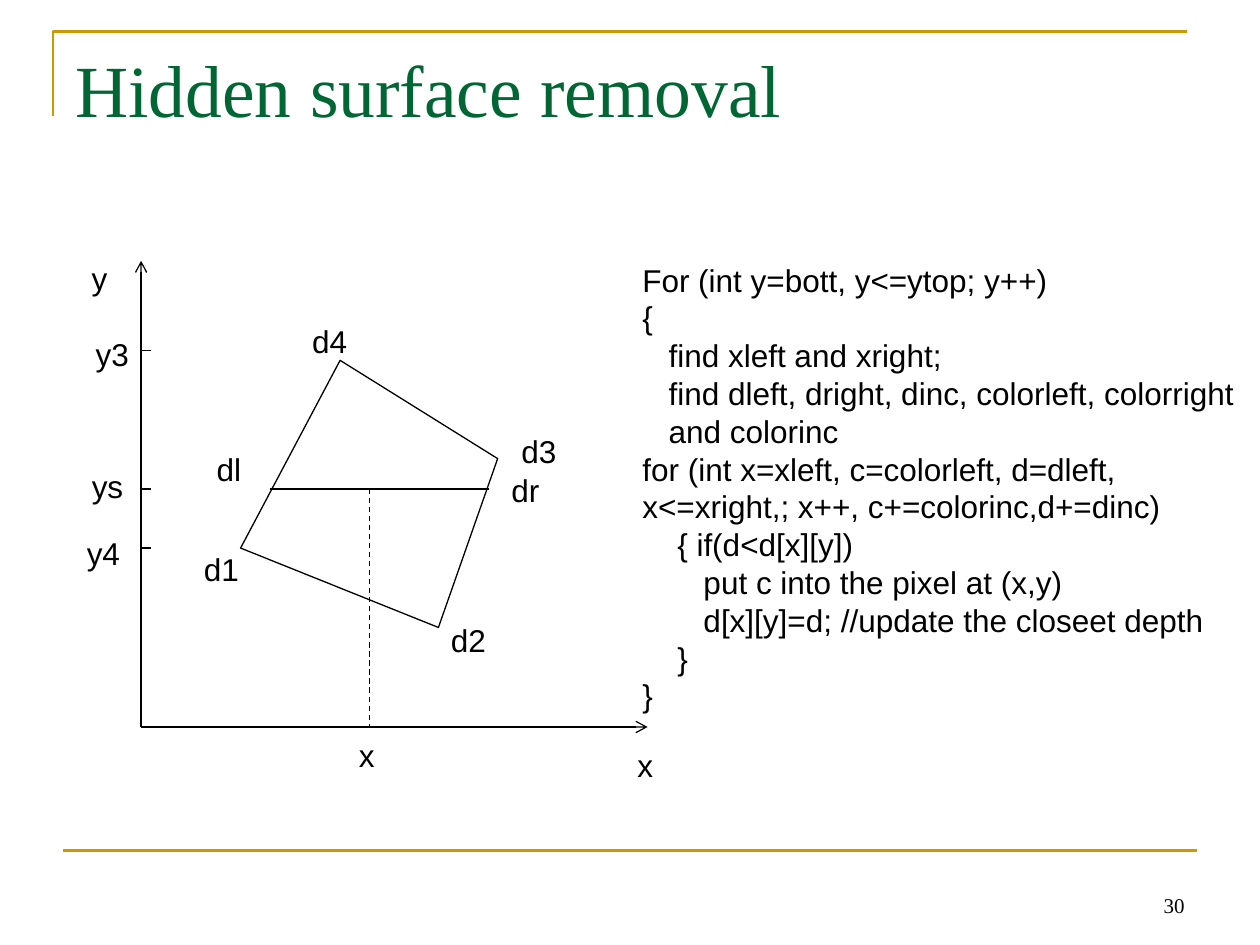
from lxml.etree import SubElement
from pptx import Presentation
from pptx.dml.color import RGBColor
from pptx.enum.dml import MSO_LINE
from pptx.enum.shapes import MSO_CONNECTOR
from pptx.enum.text import MSO_ANCHOR, MSO_AUTO_SIZE, PP_ALIGN
from pptx.oxml.ns import qn
from pptx.util import Inches, Pt

COLORS = {"ink": "000000", "title": "006633", "rule": "CC9900"}
FORMATS = {
    "title": {"name": "Times New Roman", "size": Pt(42)},
    "number": {"name": "Times New Roman", "size": Pt(12)},
    "body": {"name": "Arial", "size": Pt(18)},
}
CODE = """For (int y=bott, y<=ytop; y++)
{
   find xleft and xright;
   find dleft, dright, dinc, colorleft, colorright
   and colorinc
for (int x=xleft, c=colorleft, d=dleft,  x<=xright,; x++, c+=colorinc,d+=dinc)
    { if(d<d[x][y])
       put c into the pixel at (x,y)
       d[x][y]=d; //update the closeet depth
    }
}"""


class SlidePainter:
    def __init__(self, slide, formats, colors):
        self.slide = slide
        self.formats = formats
        self.colors = colors

    def color(self, key):
        return RGBColor.from_string(self.colors[key])

    def stroke(self, line, color, width):
        line.color.rgb = self.color(color)
        line.width = Pt(width)

    def text(self, content, box, style="body", color="ink", wrap=True, grow=False,
             align=PP_ALIGN.LEFT, anchor=MSO_ANCHOR.TOP):
        frame = self.slide.shapes.add_textbox(*map(Inches, box)).text_frame
        settings = {
            "word_wrap": wrap,
            "auto_size": MSO_AUTO_SIZE.SHAPE_TO_FIT_TEXT if grow else MSO_AUTO_SIZE.NONE,
            "vertical_anchor": anchor,
            "text": content,
        }
        for attribute, value in settings.items():
            setattr(frame, attribute, value)
        for paragraph in frame.paragraphs:
            paragraph.alignment = align
            for attribute, value in self.formats[style].items():
                setattr(paragraph.font, attribute, value)
            paragraph.font.color.rgb = self.color(color)

    def line(self, start, end, color="ink", width=0.75, arrow=False, dashed=False):
        connector = self.slide.shapes.add_connector(
            MSO_CONNECTOR.STRAIGHT, *map(Inches, (*start, *end)))
        self.stroke(connector.line, color, width)
        if dashed:
            connector.line.dash_style = MSO_LINE.DASH
        properties = connector._element.spPr
        if arrow:
            SubElement(properties.find(qn("a:ln")), qn("a:tailEnd"), type="arrow")
        SubElement(properties, qn("a:effectLst"))

    def outline(self, points, color="ink", width=0.75, close=False):
        first, *rest = [tuple(map(Inches, point)) for point in points]
        builder = self.slide.shapes.build_freeform(*first)
        builder.add_line_segments(rest, close=close)
        shape = builder.convert_to_shape()
        shape.shadow.inherit = False
        shape.fill.background()
        self.stroke(shape.line, color, width)


def main():
    presentation = Presentation()
    presentation.slide_width = Inches(10)
    presentation.slide_height = Inches(7.5)
    slide = presentation.slides.add_slide(presentation.slide_layouts[6])
    painter = SlidePainter(slide, FORMATS, COLORS)

    painter.outline([(0.42, 0.92), (0.42, 0.25), (9.42, 0.25)], "rule", 1.5)
    painter.line((0.5, 6.75), (9.5, 6.75), "rule", 1.5)
    painter.text("30", (7.17, 6.83, 2.33, 0.5), "number",
                 align=PP_ALIGN.RIGHT, anchor=MSO_ANCHOR.BOTTOM)
    painter.text("Hidden surface removal", (0.5, 0.3, 9, 1.25), "title", "title")

    origin_x, origin_y = origin = (1.12, 5.77)
    scan_y, pixel_x = 3.88, 2.93
    for axis_end in ((5.14, origin_y), (origin_x, 2.07)):
        painter.line(origin, axis_end, arrow=True)
    for tick_y in (2.78, scan_y, 4.35):
        painter.line((origin_x, tick_y), (origin_x + 0.08, tick_y))

    painter.outline([(2.7, 2.86), (1.91, 4.35), (3.48, 4.98), (3.95, 3.64)], close=True)
    painter.line((2.14, scan_y), (3.88, scan_y))
    painter.line((pixel_x, scan_y), (pixel_x, origin_y), dashed=True)

    labels = [
        ("y3", 0.66, 2.61, 0.48), ("y4", 0.59, 4.19, 0.48), ("ys", 0.63, 3.66, 0.48),
        ("x", 4.96, 5.87, 0.34), ("y", 0.63, 2.01, 0.34), ("x", 2.75, 5.79, 0.34),
        ("d1", 1.52, 4.32, 0.5), ("d4", 2.38, 2.51, 0.5), ("d3", 4.04, 3.38, 0.5),
        ("d2", 3.48, 4.88, 0.5), ("dl", 1.62, 3.52, 0.42), ("dr", 3.96, 3.69, 0.44),
    ]
    for label, left, top, width in labels:
        painter.text(label, (left, top, width, 0.4), wrap=False, grow=True)
    painter.text(CODE, (5, 2.02, 5, 3.7), grow=True)

    presentation.save("out.pptx")


if __name__ == "__main__":
    main()
